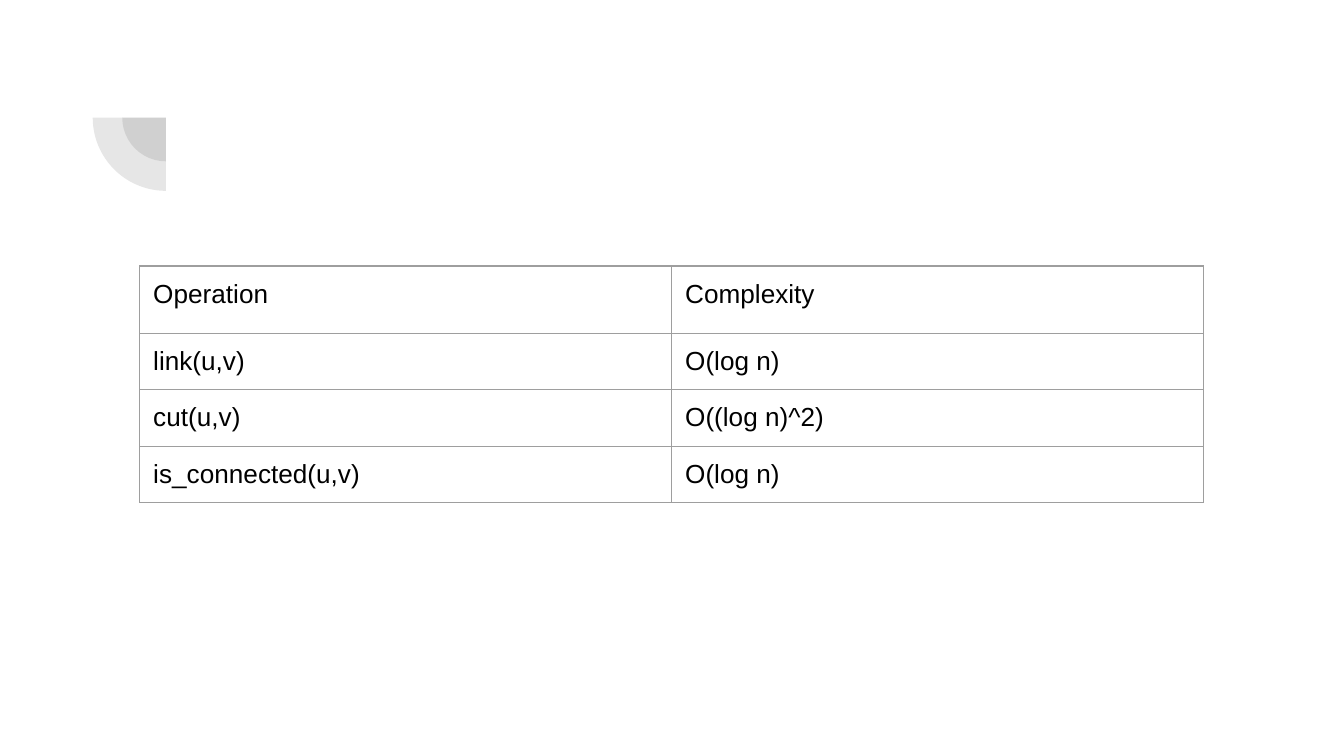
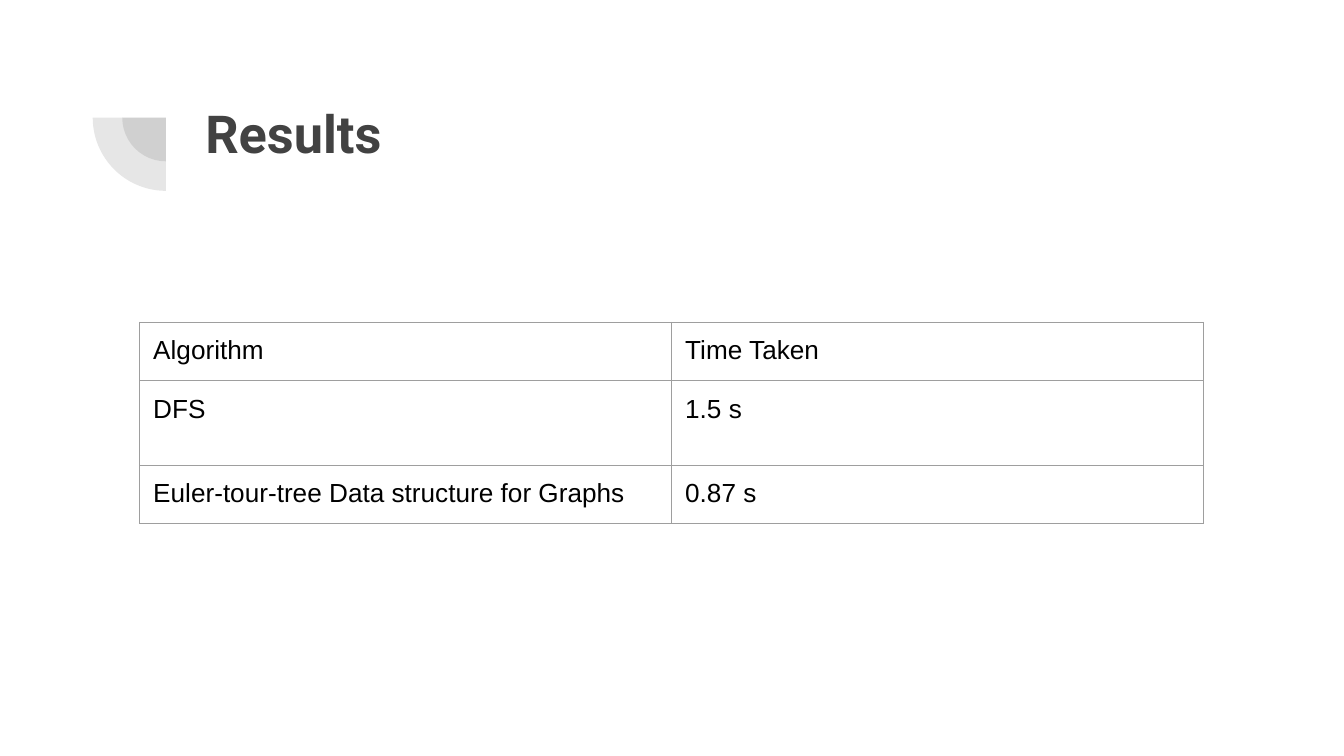
from lxml.etree import SubElement
from pptx import Presentation
from pptx.dml.color import RGBColor
from pptx.enum.shapes import MSO_SHAPE
from pptx.enum.text import MSO_ANCHOR
from pptx.oxml.ns import qn
from pptx.util import Inches, Pt

COLORS = {"background": "FFFFFF", "dark": "424242", "text": "000000", "border": "9E9E9E"}
WIDTH = Inches(10)
HEIGHT = WIDTH * 9 // 16
INSET = Inches(0.1)

# Table grid, in percent of the slide
TABLE_LEFT = 10.4
COLUMN = 39.58
ROW, HEADER_ROW, TALL_ROW = 7.47, 8.89, 11.2


def across(percent):
    return round(WIDTH * percent / 100)


def down(percent):
    return round(HEIGHT * percent / 100)


def rgb(name):
    return RGBColor.from_string(COLORS[name])


def write(frame, text, font="Arial", size=14, color="text", bold=False):
    """Put one formatted line of text into a text frame."""
    run = frame.paragraphs[0].add_run()
    run.text = text
    run.font.name = font
    run.font.size = Pt(size)
    run.font.bold = bold
    run.font.color.rgb = rgb(color)


def set_insets(box):
    box.margin_left = box.margin_right = INSET
    box.margin_top = box.margin_bottom = INSET


def add_quarter_disc(slide, radius):
    """Add a translucent quarter disc around the shared corner point."""
    center_x, center_y = across(12.35), down(15.56)
    size = across(2 * radius)
    shape = slide.shapes.add_shape(
        MSO_SHAPE.PIE, center_x - size // 2, center_y - size // 2, size, size)
    shape.adjustments[0], shape.adjustments[1] = 108, 162
    shape.rotation = 270
    shape.shadow.inherit = False
    shape.line.fill.background()
    shape.fill.solid()
    shape.fill.fore_color.rgb = rgb("dark")
    color = shape.fill._xPr.find(".//" + qn("a:srgbClr"))
    SubElement(color, qn("a:alpha"), val="13000")


def add_title(slide, text):
    box = slide.shapes.add_textbox(across(14.3), down(11.56), across(76.9), down(19.38))
    frame = box.text_frame
    frame.word_wrap = True
    frame.vertical_anchor = MSO_ANCHOR.TOP
    set_insets(frame)
    write(frame, text, font="Roboto", size=28, color="dark", bold=True)


def add_borders(cell):
    properties = cell._tc.get_or_add_tcPr()
    for side in ("a:lnL", "a:lnR", "a:lnT", "a:lnB"):
        line = SubElement(properties, qn(side), w=str(Pt(0.75)))
        fill = SubElement(line, qn("a:solidFill"))
        SubElement(fill, qn("a:srgbClr"), val=COLORS["border"])


def add_table(slide, top, heights, rows):
    """Add a plain bordered table with equal columns."""
    columns = len(rows[0])
    table = slide.shapes.add_table(
        len(rows), columns, across(TABLE_LEFT), down(top),
        across(COLUMN * columns), down(sum(heights))).table
    table.first_row = table.horz_banding = False
    for column in table.columns:
        column.width = across(COLUMN)
    for row, height, texts in zip(table.rows, heights, rows):
        row.height = down(height)
        for cell, text in zip(row.cells, texts):
            set_insets(cell)
            add_borders(cell)
            cell.fill.background()
            write(cell.text_frame, text)


def add_slide(presentation):
    """Add a slide with the shared background and corner ornament."""
    slide = presentation.slides.add_slide(presentation.slide_layouts[6])
    slide.background.fill.solid()
    slide.background.fill.fore_color.rgb = rgb("background")
    for radius in (3.25, 5.45):
        add_quarter_disc(slide, radius)
    return slide


def main():
    presentation = Presentation()
    presentation.slide_width, presentation.slide_height = WIDTH, HEIGHT

    # Complexity of the operations
    slide = add_slide(presentation)
    add_table(slide, 35.2, [HEADER_ROW, ROW, ROW, ROW], [
        ("Operation", "Complexity"),
        ("link(u,v)", "O(log n)"),
        ("cut(u,v)", "O((log n)^2)"),
        ("is_connected(u,v)", "O(log n)"),
    ])

    # Measured results
    slide = add_slide(presentation)
    add_title(slide, "Results")
    add_table(slide, 42.67, [ROW, TALL_ROW, ROW], [
        ("Algorithm", "Time Taken"),
        ("DFS", "1.5 s"),
        ("Euler-tour-tree Data structure for Graphs", "0.87 s"),
    ])

    presentation.save("out.pptx")


if __name__ == "__main__":
    main()
